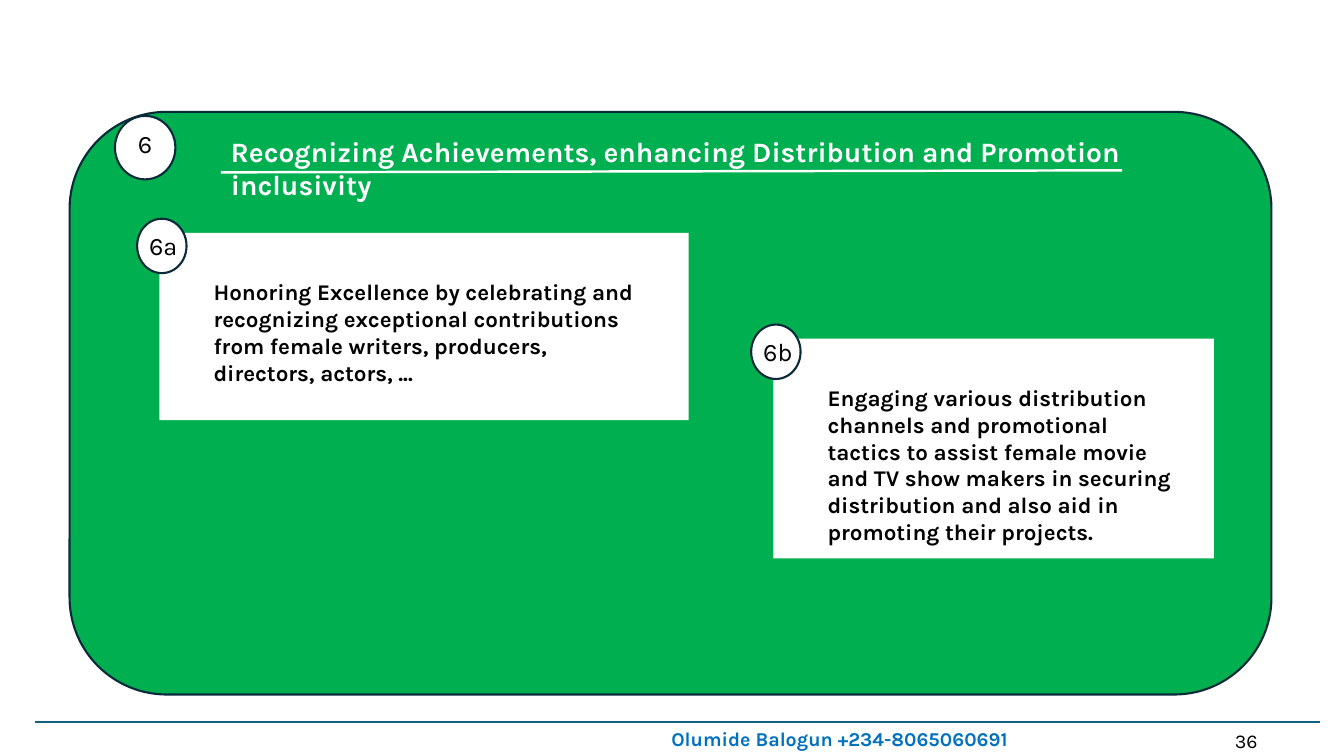
from lxml import etree
from pptx import Presentation
from pptx.dml.color import RGBColor
from pptx.enum.shapes import MSO_CONNECTOR, MSO_SHAPE
from pptx.enum.text import MSO_ANCHOR, MSO_AUTO_SIZE, PP_ALIGN
from pptx.oxml.ns import qn
from pptx.util import Pt

PX = 9144  # 100 px to the inch
LEFT, TOP = PP_ALIGN.LEFT, MSO_ANCHOR.TOP
GROW = MSO_AUTO_SIZE.SHAPE_TO_FIT_TEXT
STRAIGHT = MSO_CONNECTOR.STRAIGHT
RECT, ROUND, OVAL = MSO_SHAPE.RECTANGLE, MSO_SHAPE.ROUNDED_RECTANGLE, MSO_SHAPE.OVAL

FONT = "Karla"
GREEN, NAVY, TEAL, BLUE = "00B050", "092A39", "156082", "0070C0"
WHITE, BLACK = "FFFFFF", "000000"


def px(*values):
    return [v * PX for v in values]


def rgb(color):
    return RGBColor.from_string(color)


def add_box(slide, kind, x, y, w, h, fill, line=None):
    sp = slide.shapes.add_shape(kind, *px(x, y, w, h))
    sp.shadow.inherit = False
    sp.fill.solid()
    sp.fill.fore_color.rgb = rgb(fill)
    if line:
        sp.line.color.rgb = rgb(line)
        sp.line.width = Pt(1.5)
    else:
        sp.line.fill.background()


def add_line(slide, x1, y1, x2, y2, color, width):
    sp = slide.shapes.add_connector(STRAIGHT, *px(x1, y1, x2, y2))
    sp.line.color.rgb = rgb(color)
    sp.line.width = Pt(width)
    etree.SubElement(sp._element.spPr, qn("a:effectLst"))


def write(sp, text, size, color=BLACK, bold=False):
    tf = sp.text_frame
    tf.word_wrap = True
    tf.auto_size = GROW
    tf.vertical_anchor = TOP
    p = tf.paragraphs[0]
    p.alignment = LEFT
    r = p.add_run()
    r.text = text
    r.font.name = FONT
    r.font.size = Pt(size)
    r.font.bold = bold
    r.font.color.rgb = rgb(color)


def add_text(slide, x, y, w, h, text, size, **fmt):
    write(slide.shapes.add_textbox(*px(x, y, w, h)), text, size, **fmt)


def add_panel(slide, x, y, w, h, number):
    add_box(slide, ROUND, x, y, w, h, GREEN, NAVY)
    add_box(slide, OVAL, x + 45, y + 4, 60, 63, WHITE, NAVY)
    add_text(slide, x + 58, y + 11, 33, 40, number, 18)


def add_heading(slide, x, y, w, h, text):
    title = slide.shapes.title
    title.left, title.top, title.width, title.height = px(x, y, w, h)
    write(title, text, 20, color=WHITE, bold=True)
    # Bring the title in front of the panel
    title.element.getparent().append(title.element)
    add_line(slide, x, y + 43, x + 894, y + 41, WHITE, 1.75)


def add_card(slide, x, y, w, h, label, text, text_w, text_h):
    add_box(slide, RECT, x, y, w, h, WHITE)
    add_box(slide, OVAL, x - 22, y - 14, 49, 54, WHITE, NAVY)
    add_text(slide, x - 20, y - 7, 58, 40, label, 18)
    add_text(slide, x + 44, y + 40, text_w, text_h, text, 16, bold=True)


def add_footer(slide, x, y, w, contact, page):
    add_line(slide, x, y, x + w, y, TEAL, 1.5)
    add_text(slide, x + 621, y, 408, 34, contact, 14, color=BLUE, bold=True)
    add_text(slide, x + 1180, y + 2, 47, 34, page, 14)


def main():
    prs = Presentation()
    prs.slide_width, prs.slide_height = px(1333, 750)
    slide = prs.slides.add_slide(prs.slide_layouts[5])

    # Green panel with its number and heading
    add_panel(slide, 69, 111, 1192, 578, "6")
    add_heading(slide, 219, 128, 905, 44,
                "Recognizing Achievements, enhancing Distribution and "
                "Promotion inclusivity")

    # Cards
    add_card(slide, 158, 231, 525, 186, "6a",
             "Honoring Excellence by celebrating and recognizing exceptional "
             "contributions from female writers, producers, directors, "
             "actors, ...", 437, 118)
    add_card(slide, 767, 336, 437, 218, "6b",
             "Engaging various distribution channels and promotional tactics "
             "to assist female movie and TV show makers in securing "
             "distribution and also aid in promoting their projects.", 367, 145)

    # Footer
    add_footer(slide, 35, 716, 1274, "Olumide Balogun +234-8065060691", "36")
    prs.save("out.pptx")


if __name__ == "__main__":
    main()
